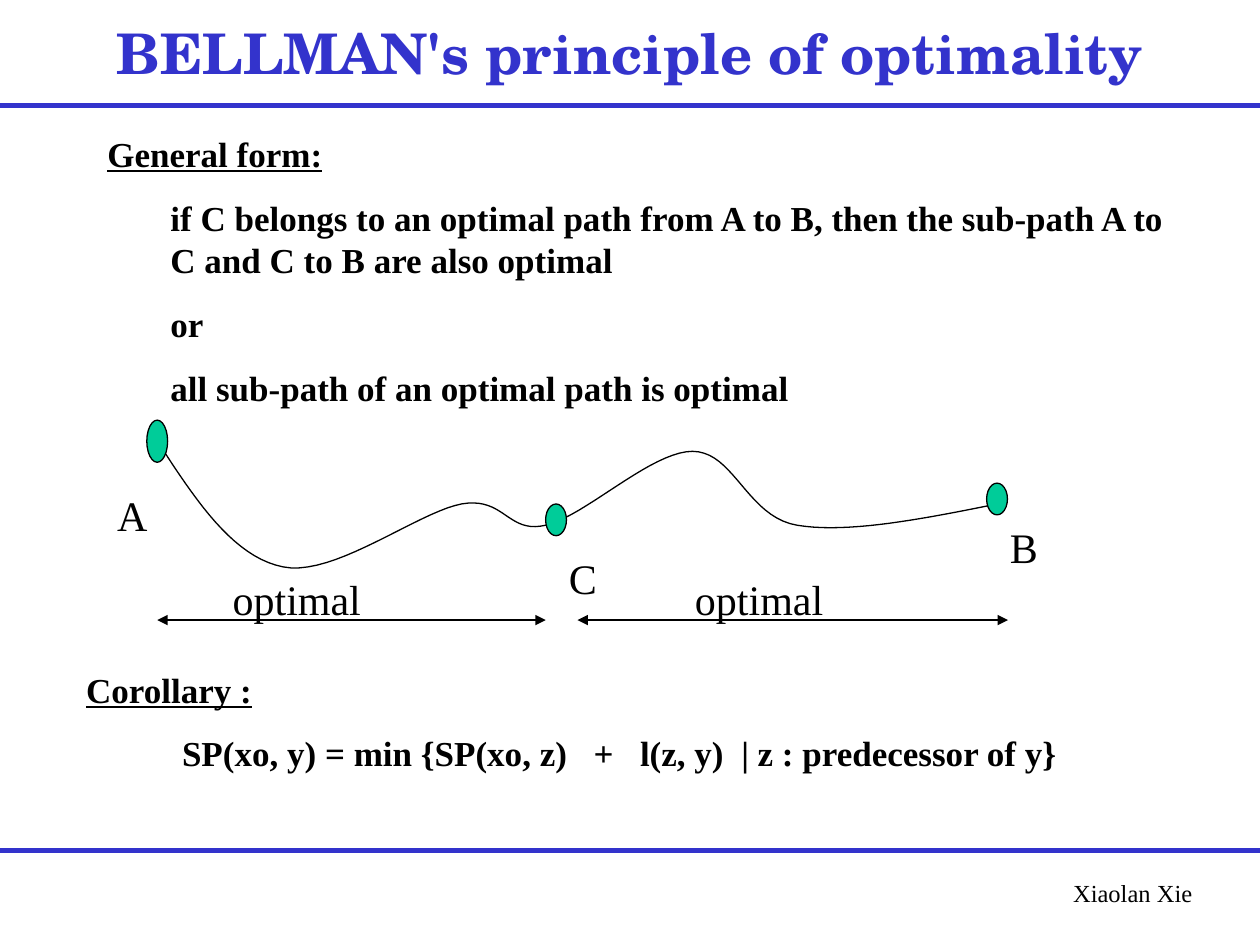
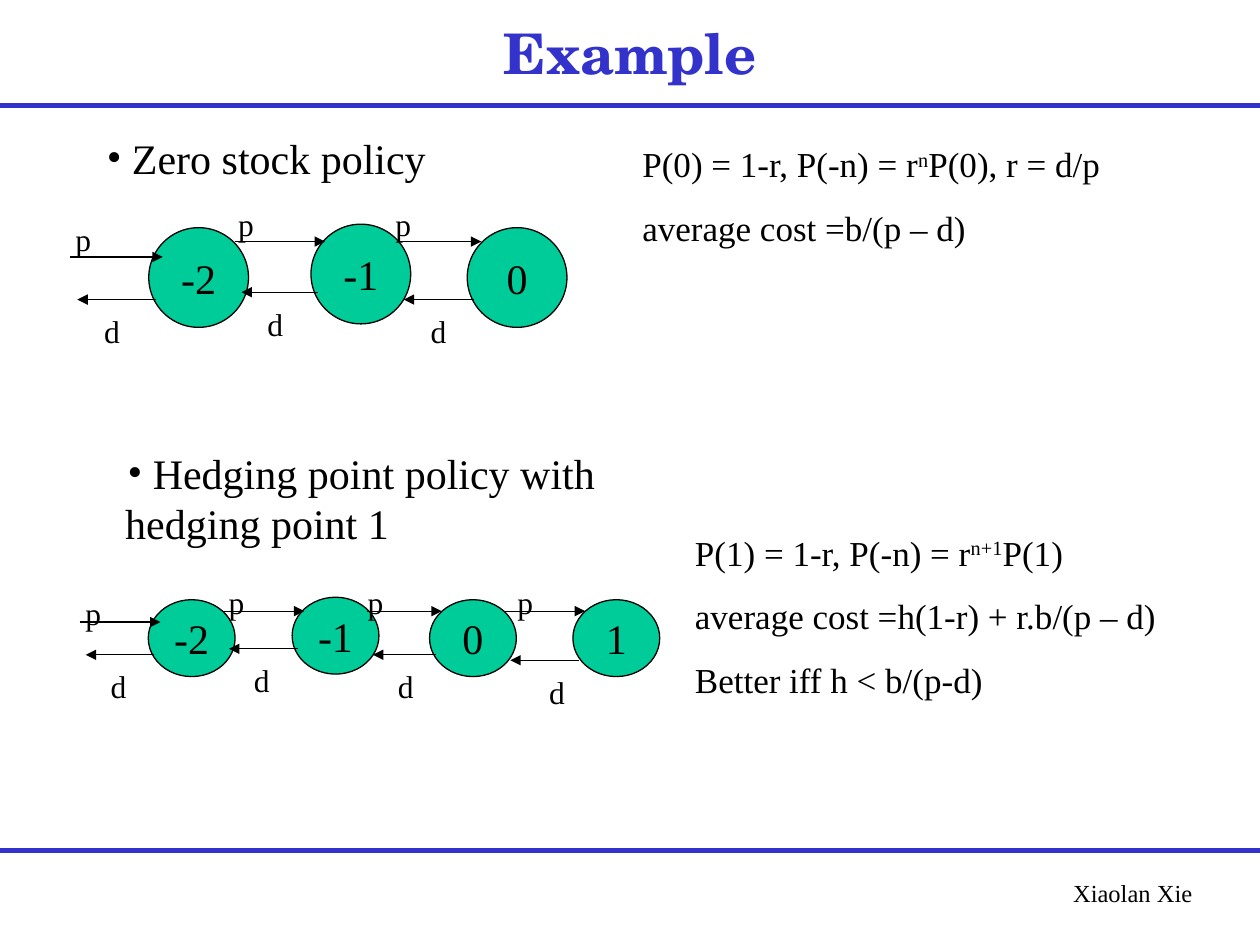
import itertools

import pptx
import pptx.dml.color
import pptx.enum.shapes
import pptx.enum.text
import pptx.oxml
import pptx.oxml.ns
import pptx.util
from pptx.util import Cm, Pt

# Shared look
BLUE = pptx.dml.color.RGBColor(0x33, 0x33, 0xCC)
GREEN = pptx.dml.color.RGBColor(0x00, 0xCC, 0x99)
BLACK = pptx.dml.color.RGBColor(0x00, 0x00, 0x00)
TITLE_FONT = "TeX Gyre Schola"
TEXT_FONT = "Times New Roman"
SLIDE_WIDTH, SLIDE_HEIGHT = 25.4, 19.05
TWO_CONTENT = 3

ALIGN = pptx.enum.text.PP_ALIGN
ANCHOR = pptx.enum.text.MSO_ANCHOR
OVAL = pptx.enum.shapes.MSO_SHAPE.OVAL
STRAIGHT = pptx.enum.shapes.MSO_CONNECTOR.STRAIGHT


# Text helpers
def add_run(paragraph, text, size, color=BLACK, font=TEXT_FONT, bold=False,
            underline=False, raised=False, tracking=0):
    run = paragraph.add_run()
    run.text = text
    run.font.name = font
    run.font.size = Pt(size)
    run.font.bold = bold
    run.font.underline = underline
    run.font.color.rgb = color
    properties = run._r.get_or_add_rPr()
    if raised:
        properties.set("baseline", "30000")
    if tracking:
        properties.set("spc", str(tracking * 100))


def set_bullet(paragraph, character=None, margin=0.0, indent=0.0):
    properties = paragraph._p.get_or_add_pPr()
    properties.set("marL", str(Cm(margin)))
    properties.set("indent", str(Cm(indent)))
    namespace = pptx.oxml.ns.nsdecls("a")
    if character:
        pieces = [f'<a:buClr {namespace}><a:srgbClr val="{BLACK}"/></a:buClr>',
                  f'<a:buFont {namespace} typeface="{TEXT_FONT}"/>',
                  f'<a:buChar {namespace} char="{character}"/>']
    else:
        pieces = [f"<a:buNone {namespace}/>"]
    for piece in pieces:
        properties.append(pptx.oxml.parse_xml(piece))


def place(shape, box):
    shape.left, shape.top, shape.width, shape.height = map(Cm, box)


def prepare_frame(shape, anchor=ANCHOR.TOP, wrap=True):
    frame = shape.text_frame
    frame.auto_size = pptx.enum.text.MSO_AUTO_SIZE.NONE
    frame.word_wrap = wrap
    frame.vertical_anchor = anchor
    return frame


def next_paragraph(frame, number, space_before):
    if number == 0:
        paragraph = frame.paragraphs[0]
        paragraph.space_before = Pt(0)
    else:
        paragraph = frame.add_paragraph()
        paragraph.space_before = Pt(space_before)
    return paragraph


def add_label(shapes, text, box, size, align=ALIGN.LEFT):
    label = shapes.add_textbox(*map(Cm, box))
    paragraph = prepare_frame(label).paragraphs[0]
    paragraph.alignment = align
    add_run(paragraph, text, size)
    return label


# Drawing helpers
def add_line(shapes, start, end, color=BLACK, width=0.75, heads=()):
    line = shapes.add_connector(STRAIGHT, *map(Cm, (*start, *end)))
    line.line.color.rgb = color
    line.line.width = Pt(width)
    namespace = pptx.oxml.ns.nsdecls("a")
    outline = line.line._get_or_add_ln()
    for head in heads:
        outline.append(pptx.oxml.parse_xml(f'<a:{head} {namespace} type="triangle"/>'))
    line.element.spPr.append(pptx.oxml.parse_xml(f"<a:effectLst {namespace}/>"))
    return line


def add_node(shapes, box):
    node = shapes.add_shape(OVAL, *map(Cm, box))
    node.shadow.inherit = False
    node.fill.solid()
    node.fill.fore_color.rgb = GREEN
    node.line.color.rgb = BLACK
    node.line.width = Pt(0.75)
    return node


# Rules and author name, moved to the layout that both slides use
def build_layout(slide):
    rules = [add_line(slide.shapes, (0, y), (SLIDE_WIDTH, y), BLUE, 3)
             for y in (17.15, 2.12)]
    author = add_label(slide.shapes, "Xiaolan Xie", (18.57, 17.58, 5.72, 0.86),
                       14, ALIGN.RIGHT)
    for shape in (*rules, author):
        slide.slide_layout.shapes.element.append(shape.element)


def set_title(slide, text):
    title = slide.shapes.title
    place(title, (1.91, 0.21, 21.59, 1.69))
    paragraph = prepare_frame(title, ANCHOR.MIDDLE).paragraphs[0]
    paragraph.alignment = ALIGN.CENTER
    add_run(paragraph, text, 32, BLUE, TITLE_FONT, bold=True)


def fill_statement(placeholder, box, heading, paragraphs):
    """Underlined heading, then paragraphs of (alignment, margin, runs)."""
    place(placeholder, box)
    frame = prepare_frame(placeholder)
    rows = [(ALIGN.JUSTIFY, 0, [(heading, 0)])] + paragraphs
    for number, (align, margin, runs) in enumerate(rows):
        paragraph = next_paragraph(frame, number, 12.5)
        paragraph.alignment = align
        set_bullet(paragraph, margin=margin)
        for text, tracking in runs:
            add_run(paragraph, text, 20, bold=True, underline=number == 0,
                    tracking=tracking)


# Optimal path diagram
def cubic_point(points, t):
    weights = ((1 - t) ** 3, 3 * t * (1 - t) ** 2, 3 * t * t * (1 - t), t ** 3)
    return tuple(sum(weight * point[axis] for weight, point in zip(weights, points))
                 for axis in (0, 1))


def draw_path(slide, left, top):
    shapes = slide.shapes
    knots = [(0.21, 0.42), (0.97, 1.59), (1.73, 2.76), (2.75, 2.96),
             (3.77, 3.17), (5.47, 1.85), (6.35, 1.69), (7.22, 1.54),
             (7.27, 2.3), (8.04, 2.12), (8.83, 1.94), (10.17, 0.63),
             (11, 0.63), (11.84, 0.63), (12.1, 1.95), (13.11, 2.12),
             (14.15, 2.29), (15.65, 1.99), (17.15, 1.69)]
    steps = 20
    curve = [knots[0]] + [cubic_point(knots[first:first + 4], step / steps)
                          for first in range(0, len(knots) - 1, 3)
                          for step in range(1, steps + 1)]
    points = [(Cm(left + x), Cm(top + y)) for x, y in curve]
    builder = shapes.build_freeform(*points[0])
    builder.add_line_segments(points[1:], close=False)
    path = builder.convert_to_shape()
    path.shadow.inherit = False
    path.fill.background()
    path.line.color.rgb = BLACK
    path.line.width = Pt(0.75)

    # End points and the point between them
    for x, y, height in ((0, 0, 0.85), (8.04, 1.69, 0.64), (16.93, 1.27, 0.64)):
        add_node(shapes, (left + x, top + y, 0.42, height))
    for text, x, y in (("A", -0.85, 1.27), ("C", 8.26, 2.54), ("B", 17.15, 1.91)):
        add_label(shapes, text, (left + x, top + y, 1.5, 1.27), 24)

    # Spans of the two sub-paths
    for start, end, label_x in ((0.21, 8.04, 1.48), (8.68, 17.36, 10.8)):
        add_line(shapes, (left + start, top + 4.03), (left + end, top + 4.03),
                 heads=("headEnd", "tailEnd"))
        add_label(shapes, "optimal", (left + label_x, top + 2.96, 4.02, 1.27), 24)


# Policy slide parts
def fill_policy(placeholder, box, text):
    place(placeholder, box)
    paragraph = next_paragraph(prepare_frame(placeholder), 0, 0)
    paragraph.alignment = ALIGN.LEFT
    set_bullet(paragraph, "•", margin=0.58, indent=0.05)
    add_run(paragraph, " " + text, 24)


def add_formulas(slide, box, exponent, start, end, others):
    frame = prepare_frame(slide.shapes.add_textbox(*map(Cm, box)))
    rows = [[(start, False), (exponent, True), (end, False)]]
    rows += [[(text, False)] for text in others]
    for number, runs in enumerate(rows):
        paragraph = next_paragraph(frame, number, 12.5)
        for text, raised in runs:
            add_run(paragraph, text, 20, raised=raised)


def draw_chain(slide, left, top, size, entry, states, links, label_rise, label_width):
    """States are (name, x, y); each link enters the state of the same rank and
    is (production y, demand y, p label shift, d label shift)."""
    shapes = slide.shapes.add_group_shape().shapes
    width, height = size
    for name, x, y in states:
        node = add_node(shapes, (left + x, top + y, width, height))
        paragraph = prepare_frame(node, ANCHOR.MIDDLE, wrap=False).paragraphs[0]
        paragraph.alignment = ALIGN.CENTER
        add_run(paragraph, name, 24)

    previous_sides = itertools.chain([entry], (x + width for _, x, _ in states))
    for side, (_, x, _), link in zip(previous_sides, states, links):
        production_y, demand_y, p_shift, d_shift = link
        start, end = left + side, left + x
        deep, shallow = 0.14 * width, 0.07 * width
        y = top + production_y
        add_line(shapes, (start - deep, y), (end + deep, y), heads=("tailEnd",))
        add_label(shapes, "p", (start + p_shift, y - label_rise, label_width, 1.02), 18)
        y = top + demand_y
        add_line(shapes, (end + shallow, y), (start - shallow, y), heads=("tailEnd",))
        add_label(shapes, "d", (start + d_shift, y + 0.13, 0.7, 1.02), 18)


# Slides
def build_principle(slide):
    set_title(slide, "BELLMAN's principle of optimality")
    general, corollary = list(slide.placeholders)[1:]
    claims = ("if C belongs to an optimal path from A to B, then the sub-path "
              "A to C and C to B are also optimal",
              "or",
              "all sub-path of an optimal path is optimal")
    fill_statement(general, (1.91, 2.54, 21.8, 5.82), "General form:",
                   [(ALIGN.JUSTIFY, 1.27, [(claim, 0)]) for claim in claims])
    draw_path(slide, 2.96, 8.47)
    formula = [("SP(xo, y) = min {SP(xo, z)", 0), (" ", 10), ("+", 0), (" ", 10),
               ("l(z, y)", 0), (" ", 5), ("| z : predecessor of y}", 0)]
    fill_statement(corollary, (1.48, 13.34, 22.01, 2.39), "Corollary :",
                   [(ALIGN.CENTER, 0, formula)])


def build_example(slide):
    set_title(slide, "Example")
    zero_stock, hedging = list(slide.placeholders)[1:]
    fill_policy(zero_stock, (1.27, 2.54, 10.8, 1.27), "Zero stock policy")
    draw_chain(slide, 1.27, 4.01, (2.01, 2.01), 0.43,
               [("-2", 1.73, 0.58), ("-1", 5, 0.51), ("0", 8.15, 0.58)],
               [(1.17, 2.03, -0.43, 0.15), (0.86, 1.88, -0.46, 0.13),
                (0.86, 2.03, -0.56, 0.15)], 0.86, 2.14)
    add_formulas(slide, (12.7, 2.75, 11.64, 2.39), "n",
                 "P(0) = 1-r, P(-n) = r", "P(0), r = d/p",
                 ["average cost =b/(p – d)"])

    fill_policy(hedging, (1.69, 8.89, 10.8, 2.29),
                "Hedging point policy with hedging point 1")
    draw_chain(slide, 1.47, 11.63, (1.75, 1.55), 0.38,
               [("-2", 1.52, 0.46), ("-1", 4.42, 0.41), ("0", 7.19, 0.46),
                ("1", 10.08, 0.46)],
               [(0.91, 1.57, -0.38, 0.13), (0.69, 1.45, -0.38, 0.13),
                (0.69, 1.57, -0.48, 0.13), (0.69, 1.68, -0.23, 0.41)], 0.69, 1.88)
    add_formulas(slide, (13.76, 10.58, 10.58, 3.68), "n+1",
                 "P(1) = 1-r, P(-n) = r", "P(1)",
                 ["average cost =h(1-r) + r.b/(p – d)", "Better iff h < b/(p-d)"])


def main():
    presentation = pptx.Presentation()
    presentation.slide_width = Cm(SLIDE_WIDTH)
    presentation.slide_height = Cm(SLIDE_HEIGHT)
    layout = presentation.slide_layouts[TWO_CONTENT]
    principle, example = (presentation.slides.add_slide(layout) for _ in range(2))
    build_layout(principle)
    build_principle(principle)
    build_example(example)
    presentation.save("out.pptx")


if __name__ == "__main__":
    main()
